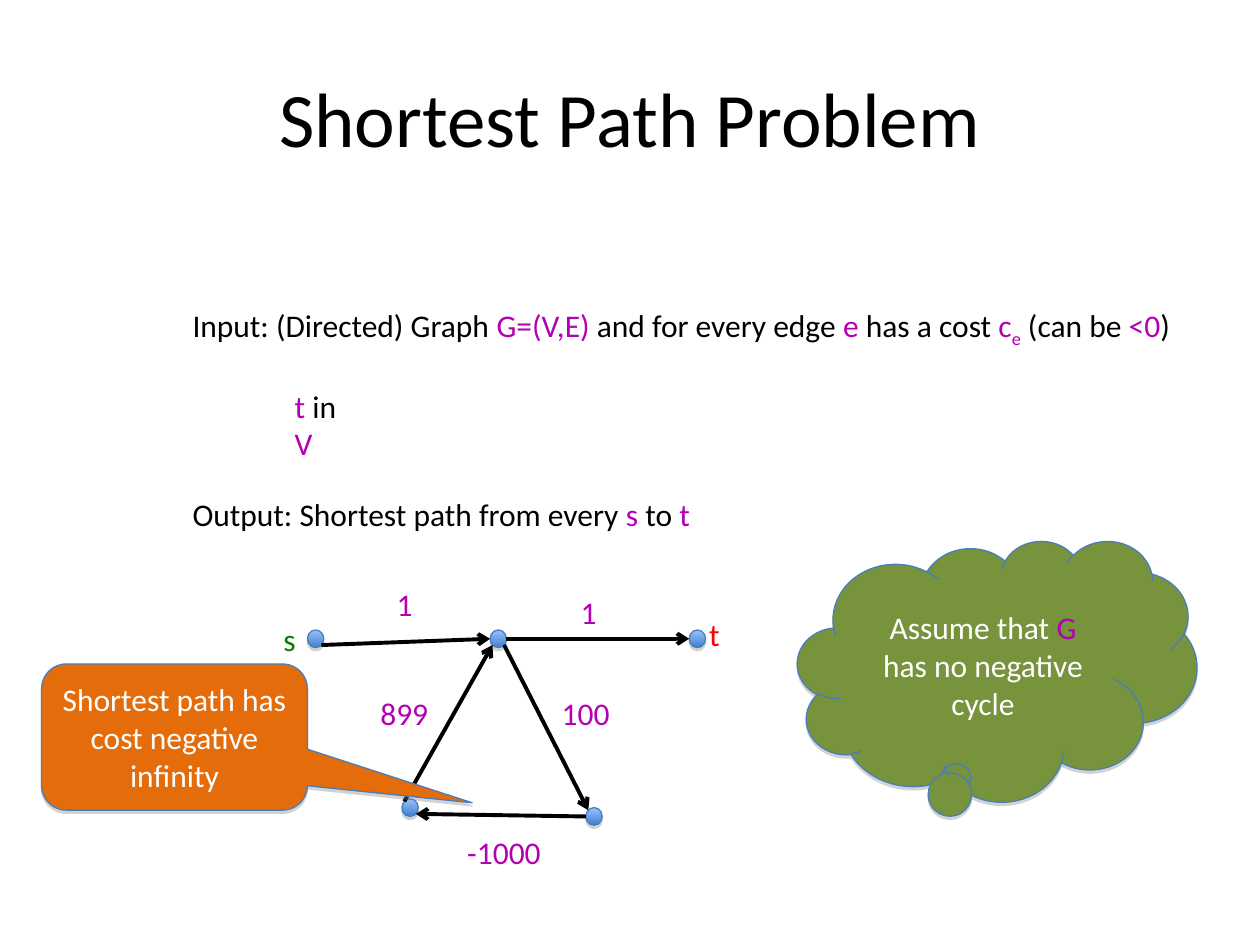
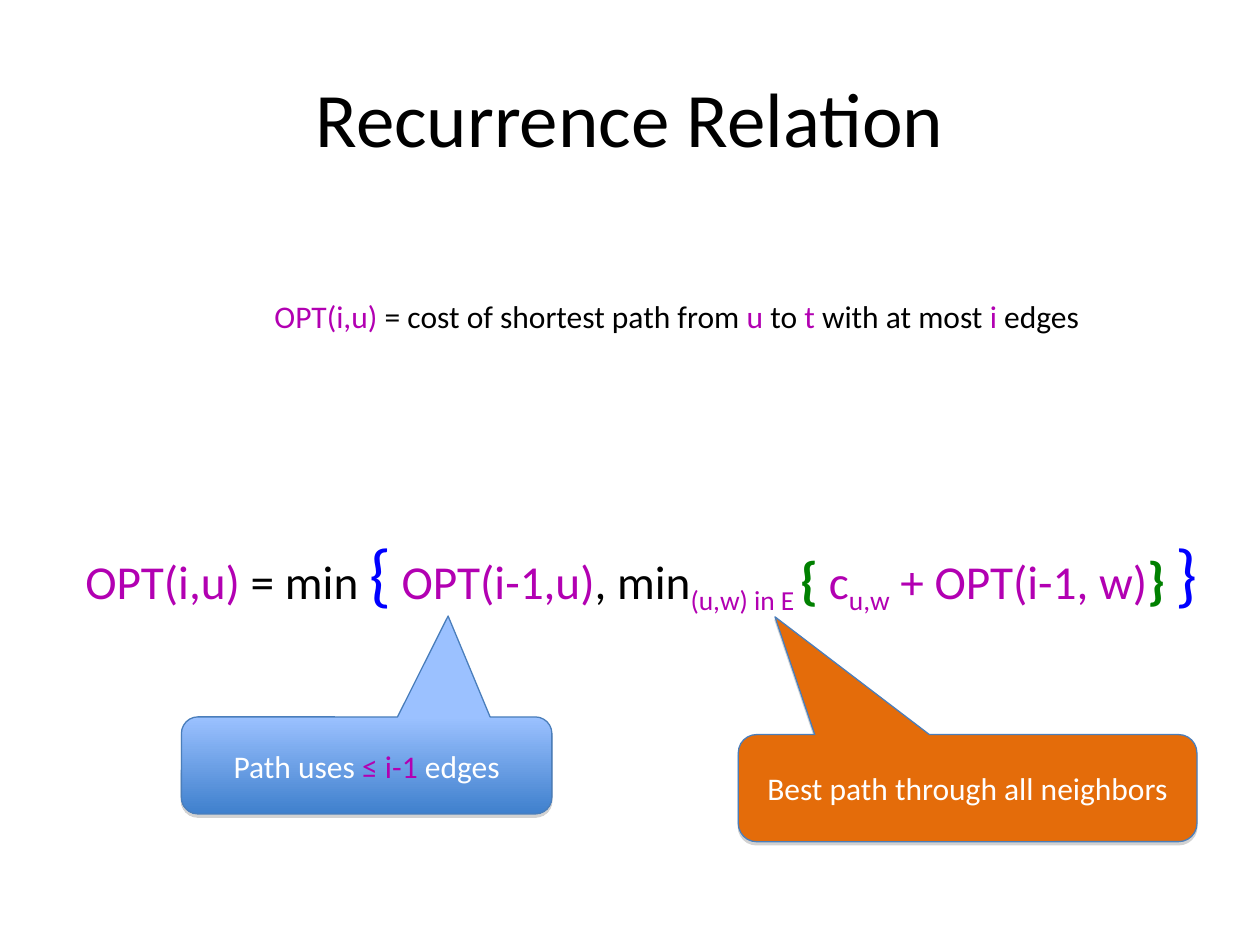
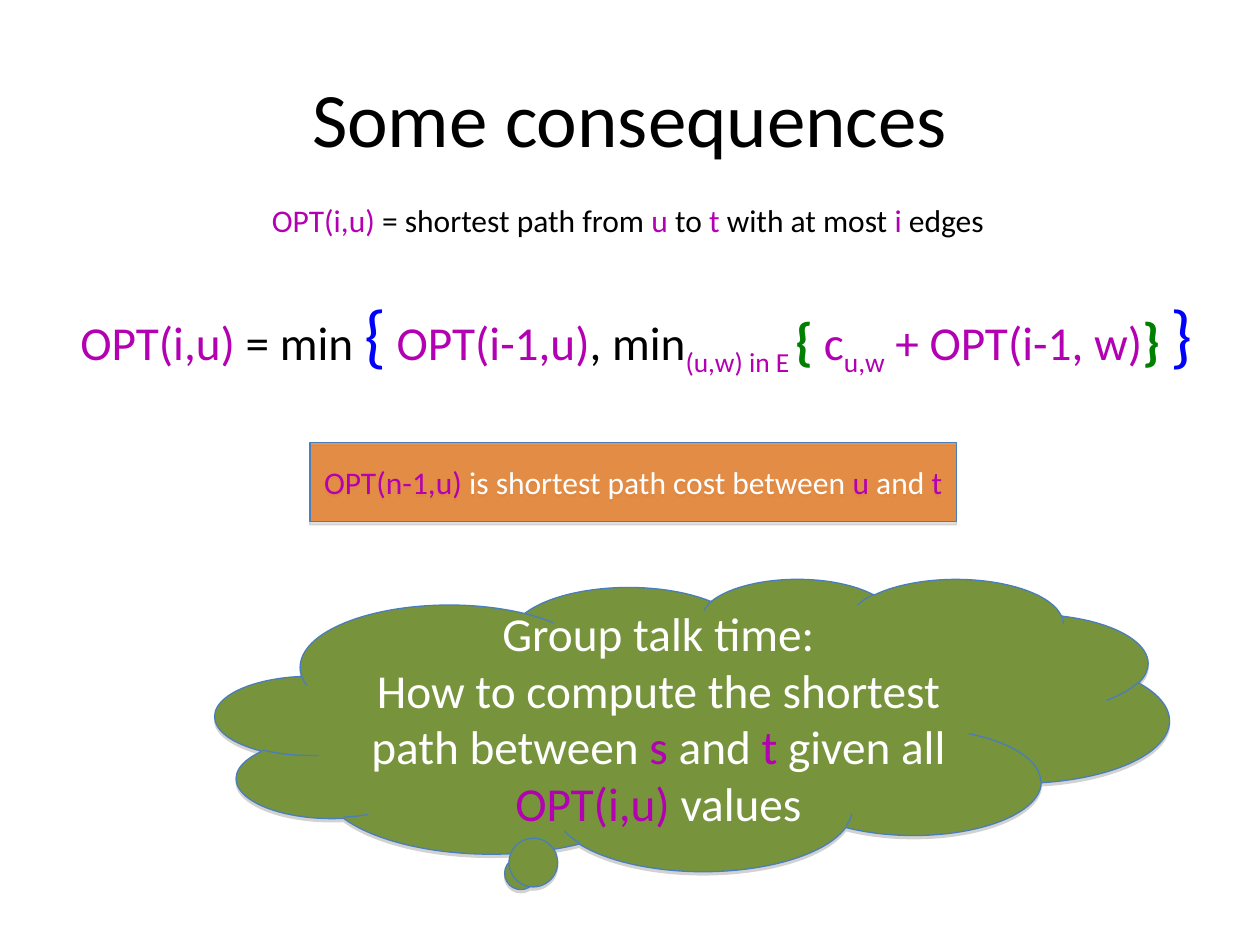
from math import cos, radians, sin

from pptx import Presentation
from pptx.dml.color import RGBColor
from pptx.enum.shapes import MSO_CONNECTOR, MSO_SHAPE
from pptx.enum.text import MSO_ANCHOR, MSO_AUTO_SIZE, PP_ALIGN
from pptx.oxml import parse_xml
from pptx.oxml.ns import nsdecls, qn
from pptx.oxml.xmlchemy import OxmlElement
from pptx.util import Inches, Pt

FONT = "Calibri"
BLACK, WHITE = "000000", "FFFFFF"
PURPLE, BLUE, GREEN, RED = "B200B2", "0000FF", "008000", "FF0000"
ORANGE, OLIVE, OUTLINE = "E46C0A", "77933C", "4A7EBB"
BLUE_GRADIENT = ("9BC1FF", "3F80CD")
BODY_SIZE, LARGE_SIZE, TITLE_SIZE = 18, 27, 44
NODE_WIDTH, NODE_HEIGHT = 0.13, 0.14
RIGHT, BOTTOM_RIGHT, BOTTOM_LEFT, LEFT, TOP_LEFT = 0, 45, 135, 180, 225


def rgb(color):
    return RGBColor.from_string(color)


def styled(text, color=PURPLE, **options):
    return text, {"color": color, **options}


def write_run(paragraph, text, size=BODY_SIZE, color=BLACK, bold=False, subscript=False):
    run = paragraph.add_run()
    run.text = text
    run.font.name = FONT
    run.font.size = Pt(size)
    run.font.bold = bold
    run.font.color.rgb = rgb(color)
    if subscript:
        run.font._element.set("baseline", "-25000")


def write_text(frame, *paragraphs, size=BODY_SIZE, color=BLACK, align=PP_ALIGN.LEFT,
               anchor=MSO_ANCHOR.TOP, wrap=True):
    frame.word_wrap = wrap
    frame.vertical_anchor = anchor
    for index, pieces in enumerate(paragraphs):
        paragraph = frame.add_paragraph() if index else frame.paragraphs[0]
        paragraph.alignment = align
        for piece in pieces:
            text, options = (piece, {}) if isinstance(piece, str) else piece
            write_run(paragraph, text, **{"size": size, "color": color, **options})


def add_label(shapes, box, *pieces, **options):
    text_box = shapes.add_textbox(*map(Inches, box))
    write_text(text_box.text_frame, pieces, wrap=False, **options)
    text_box.text_frame.auto_size = MSO_AUTO_SIZE.SHAPE_TO_FIT_TEXT


def add_title(slide, text):
    title = slide.shapes.add_textbox(*map(Inches, (0.5, 0.3, 9, 1.25)))
    write_text(title.text_frame, [text], size=TITLE_SIZE, align=PP_ALIGN.CENTER,
               anchor=MSO_ANCHOR.MIDDLE)


def add_shadow(shape):
    shape.shadow.inherit = False
    effects = shape._element.spPr.find(qn("a:effectLst"))
    effects.append(parse_xml(
        f'<a:outerShdw {nsdecls("a")} blurRad="0" dist="{Pt(1.8)}" dir="5400000" rotWithShape="0">'
        '<a:srgbClr val="808080"><a:alpha val="35000"/></a:srgbClr></a:outerShdw>'))


def fill_shape(shape, fill, opacity):
    if isinstance(fill, tuple):
        shape.fill.gradient()
        shape.fill.gradient_angle = 270
        for stop, color in zip(shape.fill.gradient_stops, fill):
            stop.color.rgb = rgb(color)
        return
    shape.fill.solid()
    shape.fill.fore_color.rgb = rgb(fill)
    if opacity < 100:
        alpha = OxmlElement("a:alpha")
        alpha.set("val", str(opacity * 1000))
        shape._element.spPr.find(qn("a:solidFill"))[0].append(alpha)


def add_figure(shapes, kind, box, fill, adjustments=(), opacity=100):
    shape = shapes.add_shape(kind, *map(Inches, box))
    for index, value in enumerate(adjustments):
        shape.adjustments[index] = value
    fill_shape(shape, fill, opacity)
    shape.line.color.rgb = rgb(OUTLINE)
    shape.line.width = Pt(0.75)
    add_shadow(shape)
    return shape


def add_note(slide, kind, box, fill, *paragraphs, adjustments=(), opacity=100, size=BODY_SIZE):
    shape = add_figure(slide.shapes, kind, box, fill, adjustments, opacity)
    write_text(shape.text_frame, *paragraphs, size=size, color=WHITE,
               align=PP_ALIGN.CENTER, anchor=MSO_ANCHOR.MIDDLE)


def add_arrow(shapes, start, end):
    arrow = shapes.add_connector(MSO_CONNECTOR.STRAIGHT, *map(Inches, (*start, *end)))
    arrow.line.color.rgb = rgb(BLACK)
    arrow.line.width = Pt(2.25)
    head = OxmlElement("a:tailEnd")
    head.set("type", "arrow")
    arrow.line._get_or_add_ln().append(head)
    arrow._element.spPr.append(OxmlElement("a:effectLst"))


def node_edge(corner, angle):
    left, top = corner
    return (left + NODE_WIDTH / 2 * (1 + cos(radians(angle))),
            top + NODE_HEIGHT / 2 * (1 + sin(radians(angle))))


def add_graph(slide, left, top):
    shapes = slide.shapes.add_group_shape().shapes
    offsets = {"s": (0.29, 0.41), "middle": (1.74, 0.41), "t": (3.32, 0.41),
               "lower right": (2.5, 1.82), "lower left": (1.04, 1.75)}
    nodes = {name: (left + x, top + y) for name, (x, y) in offsets.items()}
    edges = [("s", BOTTOM_RIGHT, "middle", LEFT),
             ("middle", RIGHT, "t", LEFT),
             ("middle", BOTTOM_RIGHT, "lower right", TOP_LEFT),
             ("lower right", LEFT, "lower left", BOTTOM_RIGHT),
             ("lower left", TOP_LEFT, "middle", BOTTOM_LEFT)]
    labels = [("1", 0.9, 0, 0.32, PURPLE), ("1", 2.36, 0.07, 0.32, PURPLE),
              ("100", 2.21, 0.87, 0.58, PURPLE), ("-1000", 1.46, 1.97, 0.78, PURPLE),
              ("899", 0.77, 0.87, 0.58, PURPLE),
              ("s", 0, 0.28, 0.3, GREEN), ("t", 3.38, 0.24, 0.28, RED)]
    for corner in nodes.values():
        add_figure(shapes, MSO_SHAPE.OVAL, (*corner, NODE_WIDTH, NODE_HEIGHT), BLUE_GRADIENT)
    for source, source_angle, target, target_angle in edges:
        add_arrow(shapes, node_edge(nodes[source], source_angle),
                  node_edge(nodes[target], target_angle))
    for text, x, y, width, color in labels:
        add_label(shapes, (left + x, top + y, width, 0.4), text, color=color)


def add_definition(slide, box, meaning):
    add_label(slide.shapes, box, styled("OPT(i,u) "), f"= {meaning} from ", styled("u"), " to ",
              styled("t"), " with at most ", styled("i"), " edges")


def add_recurrence(slide, left, top):
    add_label(slide.shapes, (left, top, 9.03, 0.8),
              styled("OPT(i,u)"), " = min ", styled("{", BLUE, size=40), " ",
              styled("OPT(i-1,u)"), ", min", styled("(u,w) in E ", subscript=True),
              styled("{", GREEN, size=30, bold=True), " ",
              styled("c"), styled("u,w", subscript=True), styled(" + OPT(i-1, w)"),
              styled("}", GREEN, size=30, bold=True), " ", styled("}", BLUE, size=40),
              size=LARGE_SIZE)


def build_problem(slide):
    add_title(slide, "Shortest Path Problem")
    add_label(slide.shapes, (1.43, 2.38, 8, 0.44),
              "Input: (Directed) Graph ", styled("G=(V,E)"), " and for every edge ", styled("e"),
              " has a cost ", styled("c"), styled("e", subscript=True), " (can be ",
              styled("<0"), ")")
    add_label(slide.shapes, (2.24, 3.02, 0.72, 0.4), styled("t"), " in ", styled("V"))
    add_label(slide.shapes, (1.43, 3.88, 4.16, 0.4),
              "Output: Shortest path from every ", styled("s"), " to ", styled("t"))
    add_graph(slide, 2.15, 4.59)
    add_note(slide, MSO_SHAPE.ROUNDED_RECTANGULAR_CALLOUT, (0.33, 5.27, 2.11, 1.16), ORANGE,
             ["Shortest path has cost negative infinity"], adjustments=(1.12, 0.45, 0.17))
    add_note(slide, MSO_SHAPE.CLOUD_CALLOUT, (6.33, 4.29, 3.17, 2.07), OLIVE,
             ["Assume that ", styled("G"), " has no negative cycle"], adjustments=(-0.1, 0.4))


def build_recurrence(slide):
    add_title(slide, "Recurrence Relation")
    add_definition(slide, (2.08, 2.31, 6.61, 0.4), "cost of shortest path")
    add_recurrence(slide, 0.58, 4.15)
    add_note(slide, MSO_SHAPE.ROUNDED_RECTANGULAR_CALLOUT, (1.44, 5.69, 2.94, 0.77), BLUE_GRADIENT,
             ["Path uses ", styled("≤ i-1 "), "edges"], adjustments=(0.22, -1.54, 0.17))
    add_note(slide, MSO_SHAPE.ROUNDED_RECTANGULAR_CALLOUT, (5.86, 5.83, 3.64, 0.85), ORANGE,
             ["Best path through all neighbors"], adjustments=(-0.42, -1.6, 0.17))


def build_consequences(slide):
    add_title(slide, "Some consequences")
    add_definition(slide, (2.06, 1.55, 5.87, 0.4), "shortest path")
    add_recurrence(slide, 0.54, 2.26)
    add_note(slide, MSO_SHAPE.RECTANGLE, (2.46, 3.51, 5.13, 0.63), ORANGE,
             [styled("OPT(n-1,u) "), "is shortest path cost between ", styled("u"), " and ",
              styled("t")], opacity=72)
    add_note(slide, MSO_SHAPE.CLOUD_CALLOUT, (1.71, 4.59, 7.57, 2.32), OLIVE,
             ["Group talk time:"],
             ["How to compute the shortest path between ", styled("s"), " and ", styled("t"),
              " given all ", styled("OPT(i,u) "), "values"],
             adjustments=(-0.18, 0.51), size=LARGE_SIZE)


def main():
    presentation = Presentation()
    presentation.slide_width, presentation.slide_height = Inches(10), Inches(7.5)
    for build in (build_problem, build_recurrence, build_consequences):
        build(presentation.slides.add_slide(presentation.slide_layouts[6]))
    presentation.save("out.pptx")


if __name__ == "__main__":
    main()
